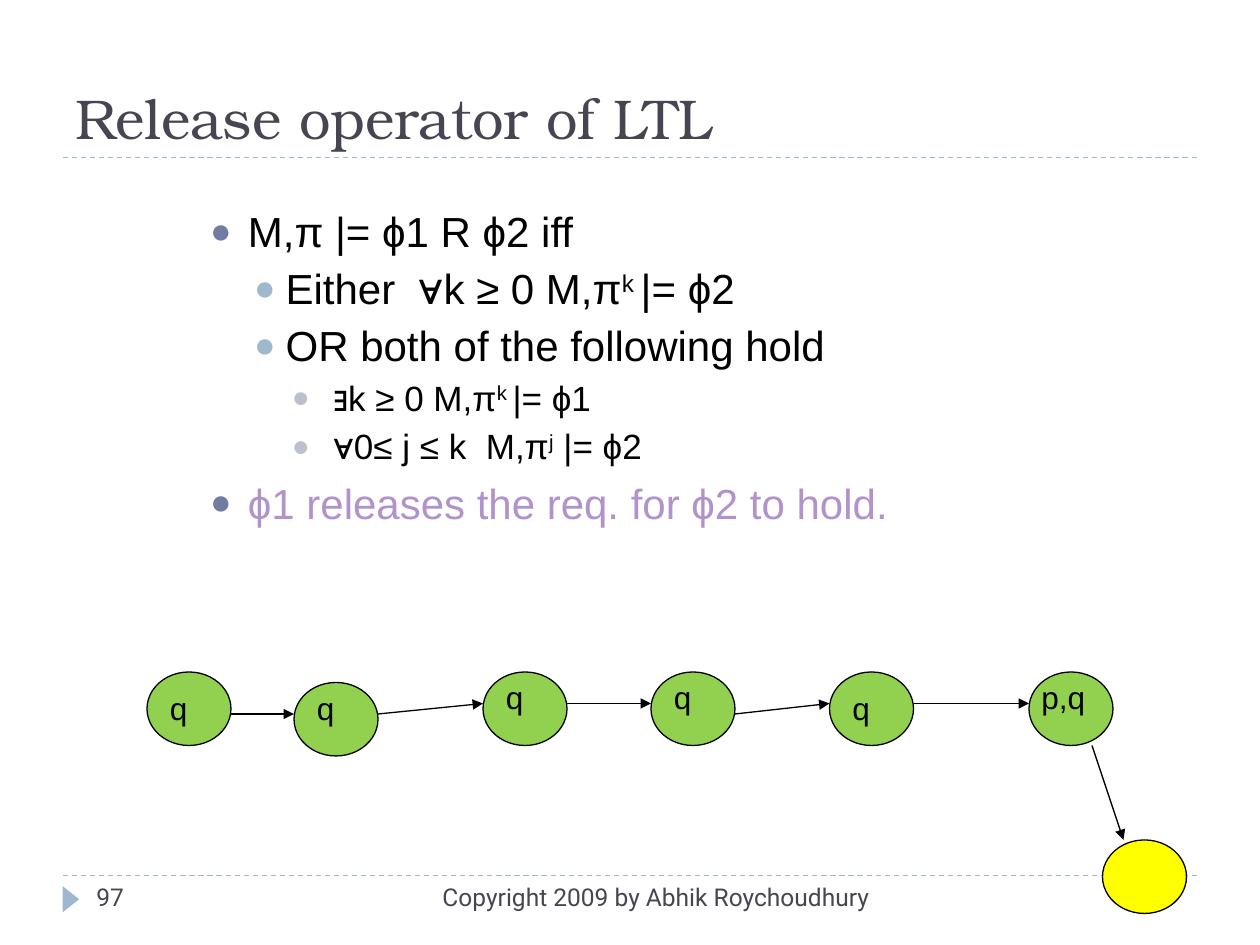
from pptx import Presentation
from pptx.dml.color import RGBColor
from pptx.enum import dml, shapes, text
from pptx.oxml.ns import qn
from pptx.util import Pt
from lxml import etree

BLACK = RGBColor(0x00, 0x00, 0x00)
SLATE = RGBColor(0x46, 0x46, 0x53)
SKY = RGBColor(0x9F, 0xB8, 0xCD)
INDIGO = RGBColor(0x72, 0x7C, 0xA3)
MIST = RGBColor(0xBC, 0xBF, 0xCE)
LILAC = RGBColor(0xB2, 0x92, 0xCA)
GREEN = RGBColor(0x92, 0xD0, 0x50)
YELLOW = RGBColor(0xFF, 0xFF, 0x00)

LEVELS = [
    (21.6, -21.6, 5.8, INDIGO),
    (43.2, -18, 3.7, SKY),
    (64.8, -18, 3.7, MIST),
]
BODY = [
    (0, 24, BLACK, ["M,π |= ϕ1 R ϕ2 iff"]),
    (1, 24, BLACK, ["Either  ∀k ≥ 0 M,π", "k ", "|= ϕ2"]),
    (1, 24, BLACK, ["OR both of the following hold"]),
    (2, 20, BLACK, [" ∃k ≥ 0 M,π", "k ", "|= ϕ1"]),
    (2, 20, BLACK, [" ∀0≤ j ≤ k  M,π", "j", " |= ϕ2"]),
    (0, 24, LILAC, ["ϕ1 releases the req. for ϕ2 to hold."]),
]
NODE_W, NODE_H = 48, 42
STATES = [
    (0, 0, "q", 6, 6),
    (84, 6, "q", 6, 6),
    (192, 0, "q", 6, 0),
    (288, 0, "q", 6, 0),
    (390, 0, "q", 6, 6),
    (504, 0, "p,q", 0, 0),
]
ARROWS = [(24, 24), (24, 18), (18, 18), (24, 18), (18, 18)]


def style(r, size, color, name):
    r.font.size = Pt(size)
    r.font.name = name
    r.font.color.rgb = color


def add_text(s, box, words, size, color, name, align=text.PP_ALIGN.LEFT):
    tf = s.shapes.add_textbox(*map(Pt, box)).text_frame
    tf.word_wrap = True
    p = tf.paragraphs[0]
    p.text = words
    p.alignment = align
    style(p.runs[0], size, color, name)


def add_line(s, x1, y1, x2, y2, color):
    cx = s.shapes.add_connector(shapes.MSO_CONNECTOR.STRAIGHT, Pt(x1), Pt(y1), Pt(x2), Pt(y2))
    cx.line.color.rgb = color
    cx.line.width = Pt(0.75)
    etree.SubElement(cx._element.spPr, qn("a:effectLst"))
    return cx


def add_rule(s, x, y, w):
    add_line(s, x, y, x + w, y, SKY).line.dash_style = dml.MSO_LINE.DASH


def add_arrow(s, x1, y1, x2, y2):
    cx = add_line(s, x1, y1, x2, y2, BLACK)
    etree.SubElement(cx.line._get_or_add_ln(), qn("a:tailEnd"), type="triangle")


def add_node(s, x, y, fill):
    sp = s.shapes.add_shape(shapes.MSO_SHAPE.OVAL, Pt(x), Pt(y), Pt(NODE_W), Pt(NODE_H))
    sp.shadow.inherit = False
    sp.fill.solid()
    sp.fill.fore_color.rgb = fill
    sp.line.color.rgb = BLACK
    sp.line.width = Pt(0.75)


def add_title(s, x, y, w, h):
    add_rule(s, x, y + h, w)
    sp = s.shapes.title
    sp.left, sp.top, sp.width, sp.height = map(Pt, (x, y, w, h))
    tf = sp.text_frame
    tf.text = "Release operator of LTL"
    tf.vertical_anchor = text.MSO_ANCHOR.BOTTOM
    p = tf.paragraphs[0]
    p.alignment = text.PP_ALIGN.LEFT
    style(p.runs[0], 32, SLATE, "TeX Gyre Bonum")


def add_footer(s, x, y, w, h):
    add_rule(s, x, y, w)
    sp = s.shapes.add_shape(shapes.MSO_SHAPE.ISOSCELES_TRIANGLE, Pt(x - 3), Pt(y + 8.7), Pt(15), Pt(9.5))
    sp.rotation = 90
    sp.shadow.inherit = False
    sp.fill.solid()
    sp.fill.fore_color.rgb = SKY
    sp.line.fill.background()
    add_text(s, (x + 12, y, 156, h), "97", 14, SLATE, "Roboto")
    add_text(s, (x + 192, y, 276, h), "Copyright 2009 by Abhik Roychoudhury",
             14, SLATE, "Roboto", text.PP_ALIGN.RIGHT)


def add_bullet(p, level):
    margin, indent, before, color = LEVELS[level]
    p.level = level
    pPr = p._p.get_or_add_pPr()
    pPr.set("marL", str(Pt(margin)))
    pPr.set("indent", str(Pt(indent)))
    clr = etree.SubElement(pPr, qn("a:buClr"))
    etree.SubElement(clr, qn("a:srgbClr"), val=str(color))
    etree.SubElement(pPr, qn("a:buSzPct"), val="85000")
    etree.SubElement(pPr, qn("a:buFont"), typeface="Arial")
    etree.SubElement(pPr, qn("a:buChar"), char="●")
    return before


def add_body(s, x, y, w, h):
    tf = s.shapes.add_textbox(Pt(x), Pt(y), Pt(w), Pt(h)).text_frame
    tf.word_wrap = True
    for i, (level, size, color, parts) in enumerate(BODY):
        p = tf.add_paragraph() if i else tf.paragraphs[0]
        before = add_bullet(p, level)
        if i:
            p.space_before = Pt(before)
        for j, part in enumerate(parts):
            r = p.add_run()
            r.text = part
            style(r, size, color, "Arial")
            if j == 1:
                r.font._element.set("baseline", "30000")


def add_path(s, x, y, w, h):
    for dx, dy, *_ in STATES:
        add_node(s, x + dx, y + dy, GREEN)
    for a, b, (y1, y2) in zip(STATES, STATES[1:], ARROWS):
        add_arrow(s, x + a[0] + NODE_W, y + y1, x + b[0], y + y2)
    for dx, dy, label, lx, ly in STATES:
        add_text(s, (x + dx + lx, y + ly, NODE_W - 2 * lx, 29), label, 18, BLACK, "Arial")
    end_x, end_y = x + w - NODE_W, y + h - NODE_H
    add_arrow(s, end_x - 6, y + NODE_H, end_x + 12, end_y)
    add_node(s, end_x, end_y, YELLOW)


def main():
    prs = Presentation()
    prs.slide_width, prs.slide_height = Pt(720), Pt(540)
    s = prs.slides.add_slide(prs.slide_layouts[5])
    add_title(s, 36, 12, 648, 78)
    add_footer(s, 36, 500.4, 648, 29)
    add_body(s, 113, 114, 590, 378)
    add_path(s, 84, 384, 594, 138)
    prs.save("out.pptx")


if __name__ == "__main__":
    main()
